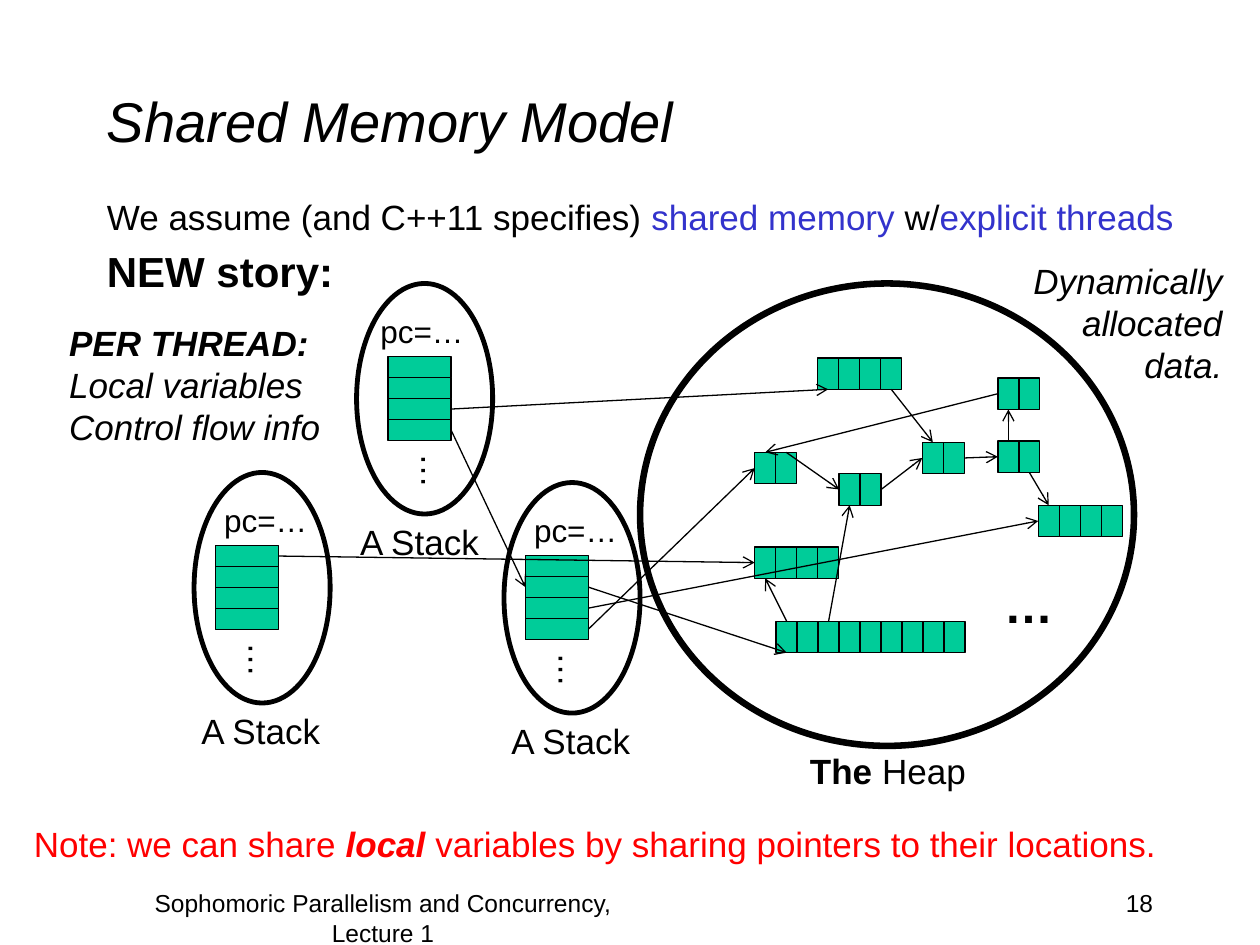
from dataclasses import dataclass

from lxml import etree
from pptx import Presentation
from pptx import util as u
from pptx.dml.color import RGBColor
from pptx.enum import shapes, text
from pptx.oxml.ns import qn


@dataclass(frozen=True)
class Theme:
    font: str = "Arial"
    ink: str = "000000"
    accent: str = "3333CC"
    alert: str = "FF0000"
    paper: str = "FFFFFF"
    cell: str = "00CC99"
    title: int = 32
    dots: int = 28
    story: int = 24
    body: int = 20
    code: int = 18
    footer: int = 14
    thin: float = 0.75
    stack_line: float = 2.75
    heap_line: float = 3.75


theme = Theme()
TOP, LEFT, BOTTOM, RIGHT = range(4)
ALIGN = {"l": text.PP_ALIGN.LEFT, "c": text.PP_ALIGN.CENTER, "r": text.PP_ALIGN.RIGHT}

# Content: a paragraph is a list of (words, style, colour) spans, style "b" and/or "i"
INTRO = [
    [("We assume (and C++11 specifies) ", "", theme.ink), ("shared memory", "", theme.accent),
     (" w/", "", theme.ink), ("explicit threads", "", theme.accent)],
    [("NEW story:", "b", theme.ink)],
]
THREAD = [[("PER THREAD:", "bi", theme.ink)],
          [("Local variables", "i", theme.ink)],
          [("Control flow info", "i", theme.ink)]]
NOTE = [[("Note: we can share ", "", theme.alert), ("local", "bi", theme.alert),
         (" variables by sharing pointers to their locations.", "", theme.alert)]]
HEAP_LABEL = [[("The", "b", theme.ink), (" Heap", "", theme.ink)]]

# Stacks: ellipse left and top, then offsets of cells, program counter and label
STACKS = {
    "upper": (2.83, 2.25, 0.25, 0.09, -0.07),
    "left": (1.54, 3.75, 0.17, 0.14, -0.04),
    "right": (4.0, 3.83, 0.17, 0.14, -0.04),
}
STACK_DEPTH = 4
STACK_CELL = (0.5, 1 / 6)

# Heap objects: left, top, number of cells
HEAP = {
    "pair": (5.99, 3.59, 2), "quad": (5.99, 4.34, 4), "middle": (6.66, 3.76, 2),
    "next": (7.32, 3.51, 2), "top": (6.49, 2.84, 4), "last": (8.24, 4.01, 4),
    "array": (6.16, 4.93, 9), "low": (7.92, 3.5, 2), "high": (7.92, 3.0, 2),
}
HEAP_CELL = (1 / 6, 0.25)

# Pointers: (object, cell, side) to (object, cell, side)
POINTERS = [
    (("top", 3, BOTTOM), ("next", 0, TOP)),
    (("pair", 1, TOP), ("middle", 0, LEFT)),
    (("middle", 1, RIGHT), ("next", 0, LEFT)),
    (("array", 0, TOP), ("quad", 0, BOTTOM)),
    (("array", 2, TOP), ("middle", 0, BOTTOM)),
    (("upper", 3, RIGHT), ("right", 1, LEFT)),
    (("upper", 2, RIGHT), ("top", 0, BOTTOM)),
    (("left", 0, RIGHT), ("quad", 0, LEFT)),
    (("right", 1, RIGHT), ("array", 0, BOTTOM)),
    (("right", 3, RIGHT), ("pair", 0, LEFT)),
    (("right", 2, RIGHT), ("last", 0, LEFT)),
    (("next", 1, RIGHT), ("low", 0, LEFT)),
    (("low", 0, TOP), ("high", 0, BOTTOM)),
    (("high", 0, LEFT), ("pair", 0, TOP)),
    (("low", 1, BOTTOM), ("last", 0, TOP)),
]

deck = Presentation()
deck.slide_width, deck.slide_height = u.Inches(10), u.Inches(7.5)
page = deck.slides.add_slide(deck.slide_layouts[6])


def inches(*lengths):
    return [u.Inches(length) for length in lengths]


def add_text(at, paragraphs, size, align="l", wrap=True):
    """Add a text box; plain words count as one paragraph in ink."""
    if isinstance(paragraphs, str):
        paragraphs = [[(paragraphs, "", theme.ink)]]
    box = page.shapes.add_textbox(*inches(*at))
    frame = box.text_frame
    frame.word_wrap = wrap
    for index, spans in enumerate(paragraphs):
        para = frame.add_paragraph() if index else frame.paragraphs[0]
        para.alignment = ALIGN[align]
        for words, style, colour in spans:
            span = para.add_run()
            span.text = words
            span.font.name, span.font.size = theme.font, u.Pt(size)
            span.font.bold, span.font.italic = "b" in style, "i" in style
            span.font.color.rgb = RGBColor.from_string(colour)
    return box


def add_outline(kind, at, width, fill=None):
    shape = page.shapes.add_shape(kind, *inches(*at))
    shape.shadow.inherit = False
    if fill:
        shape.fill.solid()
        shape.fill.fore_color.rgb = RGBColor.from_string(fill)
    else:
        shape.fill.background()
    shape.line.color.rgb = RGBColor.from_string(theme.ink)
    shape.line.width = u.Pt(width)
    return shape


def add_cells(left, top, size, count, across):
    width, height = size
    step_x, step_y = (width, 0) if across else (0, height)
    return [add_outline(shapes.MSO_SHAPE.RECTANGLE,
                        (left + i * step_x, top + i * step_y, width, height),
                        theme.thin, theme.cell) for i in range(count)]


def add_pointer(start, end):
    arrow = page.shapes.add_connector(shapes.MSO_CONNECTOR.STRAIGHT, 0, 0, 0, 0)
    for join, (name, index, side) in ((arrow.begin_connect, start), (arrow.end_connect, end)):
        join(cells[name][index], side)
    arrow.line.color.rgb = RGBColor.from_string(theme.ink)
    arrow.line.width = u.Pt(theme.thin)
    props = arrow._element.spPr
    etree.SubElement(props.find(qn("a:ln")), qn("a:tailEnd"), type="arrow")
    etree.SubElement(props, qn("a:effectLst"))


# Title and introduction
title = add_text((0.75, 0.33, 8.5, 1.25), [[("Shared Memory Model", "i", theme.ink)]], theme.title)
title.text_frame.vertical_anchor = text.MSO_ANCHOR.MIDDLE
intro = add_text((0.75, 1.5, 8.83, 5.25), INTRO, theme.body)
for para, size in zip(intro.text_frame.paragraphs, (theme.body, theme.story)):
    para.space_before = u.Pt(size * 0.2)
    for span in para.runs:
        span.font.size = u.Pt(size)

# Footer
add_text((7.17, 7, 2.08, 0.5), "18", theme.footer, "r")
add_text((0.83, 7, 4.42, 0.5), "Sophomoric Parallelism and Concurrency, Lecture 1",
         theme.footer, "c")

# Heap
add_text((6.33, 5.9, 1.45, 0.44), HEAP_LABEL, theme.body, wrap=False)
add_text((7.92, 2.01, 1.88, 1.11), [[("Dynamically allocated data.", "i", theme.ink)]],
         theme.body, "r")
add_outline(shapes.MSO_SHAPE.OVAL, (5.08, 2.25, 3.92, 3.67), theme.heap_line)
cells = {name: add_cells(left, top, HEAP_CELL, count, True)
         for name, (left, top, count) in HEAP.items()}
add_text((7.87, 4.51, 0.59, 0.57), [[("…", "b", theme.ink)]], theme.dots, wrap=False)

# Stacks
for name, (left, top, cell_dx, counter_dx, label_dx) in STACKS.items():
    add_outline(shapes.MSO_SHAPE.OVAL, (left, top, 1.08, 1.83), theme.stack_line)
    cells[name] = add_cells(left + cell_dx, top + 0.58, STACK_CELL, STACK_DEPTH, False)
    add_text((left + counter_dx, top + 0.18, 0.87, 0.4), "pc=…", theme.code, wrap=False)
    dots = add_text((left + cell_dx + 0.13, top + 1.27, 0.48, 0.44), "…", theme.body, wrap=False)
    dots.rotation = 90
    add_text((left + label_dx, top + 1.83, 1.17, 0.44), "A Stack", theme.body, wrap=False)

# Pointers
for start, end in POINTERS:
    add_pointer(start, end)

# Remarks
add_text((0.45, 2.5, 2.21, 1.11), THREAD, theme.body, wrap=False)
note = add_text((0.17, 6.48, 9.5, 0.44), NOTE, theme.body)
note.fill.solid()
note.fill.fore_color.rgb = RGBColor.from_string(theme.paper)

deck.save("out.pptx")
